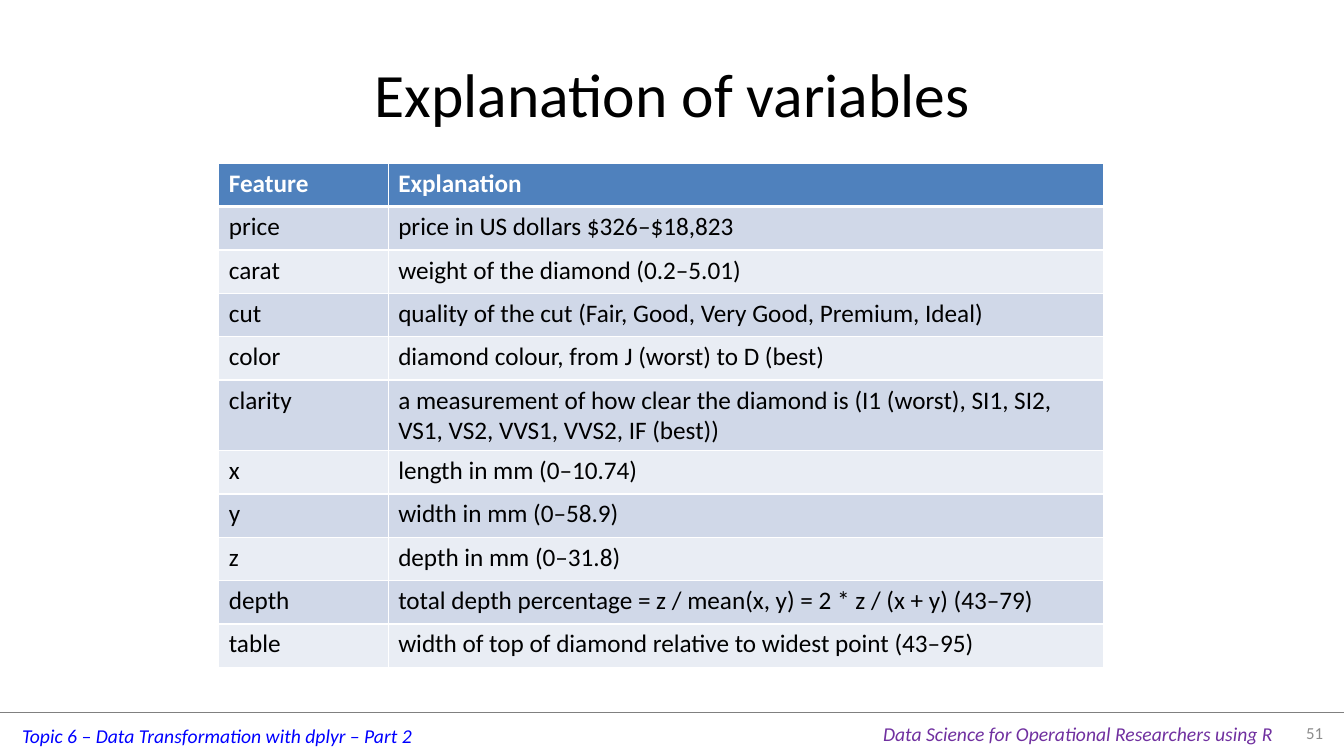
"""Build a slide with a table that explains the variables of the diamonds data."""
from lxml.etree import SubElement
from pptx import Presentation
from pptx.dml.color import RGBColor
from pptx.enum.shapes import MSO_CONNECTOR
from pptx.enum.text import MSO_ANCHOR, PP_ALIGN
from pptx.oxml.ns import qn
from pptx.util import Inches, Pt

TITLE = "Explanation of variables"
ROWS = [
    ("Feature", "Explanation"),
    ("price", "price in US dollars $326–$18,823"),
    ("carat", "weight of the diamond (0.2–5.01)"),
    ("cut", "quality of the cut (Fair, Good, Very Good, Premium, Ideal)"),
    ("color", "diamond colour, from J (worst) to D (best)"),
    ("clarity", "a measurement of how clear the diamond is (I1 (worst), SI1, SI2, "
                "VS1, VS2, VVS1, VVS2, IF (best))"),
    ("x", "length in mm (0–10.74)"),
    ("y", "width in mm (0–58.9)"),
    ("z", "depth in mm (0–31.8)"),
    ("depth", "total depth percentage = z / mean(x, y) = 2 * z / (x + y) (43–79)"),
    ("table", "width of top of diamond relative to widest point (43–95)"),
]

BLACK = RGBColor(0x00, 0x00, 0x00)
WHITE = RGBColor(0xFF, 0xFF, 0xFF)
GRAY = RGBColor(0x80, 0x80, 0x80)
NUMBER_GRAY = RGBColor(0x8C, 0x8C, 0x8C)
TOPIC_BLUE = RGBColor(0x00, 0x00, 0xFF)
COURSE_PURPLE = RGBColor(0x70, 0x30, 0xA0)
HEADER_BLUE = RGBColor(0x4F, 0x81, 0xBD)
BANDS = (RGBColor(0xD0, 0xD8, 0xE8), RGBColor(0xE9, 0xED, 0xF4))

FOOTERS = [
    ("Topic 6 – Data Transformation with dplyr – Part 2", (0.12, 7.13, 4.12, 0.34),
     PP_ALIGN.LEFT, MSO_ANCHOR.TOP, {"size": Pt(14), "italic": True}, TOPIC_BLUE),
    ("Data Science for Operational Researchers using R", (8.66, 7.11, 4.11, 0.34),
     PP_ALIGN.LEFT, MSO_ANCHOR.TOP, {"size": Pt(14), "italic": True}, COURSE_PURPLE),
    ("51", (12.67, 7.07, 0.55, 0.39),
     PP_ALIGN.RIGHT, MSO_ANCHOR.MIDDLE, {"size": Pt(12)}, NUMBER_GRAY),
]

SLIDE_WIDTH, SLIDE_HEIGHT = 13.33, 7.5
TITLE_BOX = (0.67, 0.3, 12, 1.25)
TABLE_LEFT, TABLE_TOP = 2.17, 1.62
COLUMN_WIDTHS = (1.68, 7.1)
ROW_HEIGHT = 0.43
FOOTER_LINE_TOP = 7.07


def place(shape, box):
    for name, value in zip(("left", "top", "width", "height"), box):
        setattr(shape, name, Inches(value))


def write(text_frame, text, settings, color, alignment=PP_ALIGN.LEFT):
    text_frame.text = text
    paragraph = text_frame.paragraphs[0]
    paragraph.alignment = alignment
    font = paragraph.runs[0].font
    for name, value in {"name": "Calibri", **settings}.items():
        setattr(font, name, value)
    font.color.rgb = color


def add_borders(cell, bottom_points):
    properties = cell._tc.get_or_add_tcPr()
    for side, points in (("L", 1), ("R", 1), ("T", 1), ("B", bottom_points)):
        line = SubElement(properties, qn(f"a:ln{side}"), w=str(Pt(points)))
        fill = SubElement(line, qn("a:solidFill"))
        SubElement(fill, qn("a:srgbClr"), val=str(WHITE))


def add_variable_table(slide):
    frame = slide.shapes.add_table(
        len(ROWS), len(COLUMN_WIDTHS), Inches(TABLE_LEFT), Inches(TABLE_TOP),
        Inches(sum(COLUMN_WIDTHS)), Inches(ROW_HEIGHT * len(ROWS)))
    table = frame.table
    for column, width in zip(table.columns, COLUMN_WIDTHS):
        column.width = Inches(width)
    for row_index, texts in enumerate(ROWS):
        is_header = row_index == 0
        fill_color = HEADER_BLUE if is_header else BANDS[(row_index - 1) % 2]
        for column_index, text in enumerate(texts):
            cell = table.cell(row_index, column_index)
            add_borders(cell, 3 if is_header else 1)
            cell.fill.solid()
            cell.fill.fore_color.rgb = fill_color
            write(cell.text_frame, text, {"size": Pt(18), "bold": is_header},
                  WHITE if is_header else BLACK)


def add_footer(slide):
    line = slide.shapes.add_connector(
        MSO_CONNECTOR.STRAIGHT, 0, Inches(FOOTER_LINE_TOP),
        Inches(SLIDE_WIDTH), Inches(FOOTER_LINE_TOP))
    line.line.color.rgb = GRAY
    line.line.width = Pt(0.25)
    SubElement(line._element.spPr, qn("a:effectLst"))
    for text, box, alignment, anchor, settings, color in FOOTERS:
        shape = slide.shapes.add_textbox(*map(Inches, box))
        shape.text_frame.word_wrap = alignment == PP_ALIGN.RIGHT
        shape.text_frame.vertical_anchor = anchor
        write(shape.text_frame, text, settings, color, alignment)


def main():
    presentation = Presentation()
    presentation.slide_width = Inches(SLIDE_WIDTH)
    presentation.slide_height = Inches(SLIDE_HEIGHT)
    slide = presentation.slides.add_slide(presentation.slide_layouts[5])
    add_footer(slide)
    title = slide.shapes.title
    place(title, TITLE_BOX)
    title.text_frame.vertical_anchor = MSO_ANCHOR.MIDDLE
    write(title.text_frame, TITLE, {"size": Pt(44)}, BLACK, PP_ALIGN.CENTER)
    add_variable_table(slide)
    presentation.save("out.pptx")


if __name__ == "__main__":
    main()
